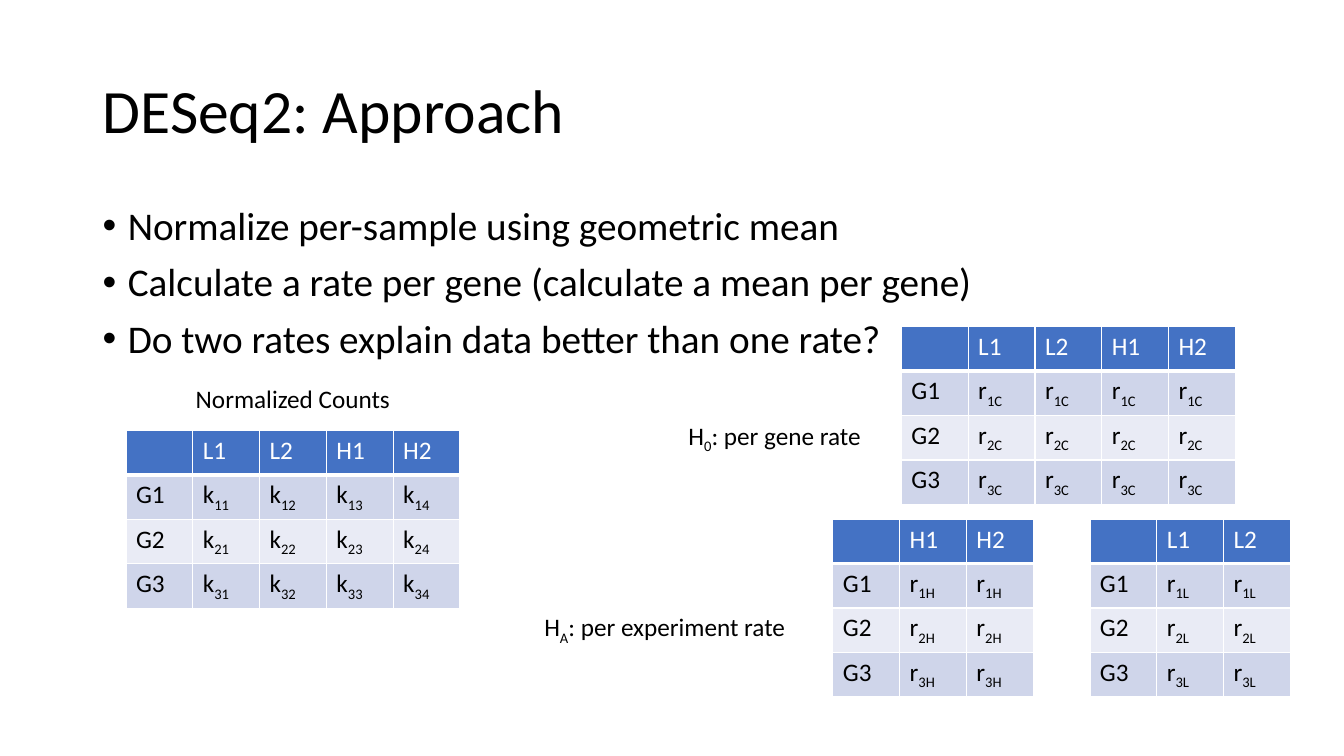
from lxml import etree
from pptx import Presentation
from pptx.dml.color import RGBColor
from pptx.enum.text import MSO_ANCHOR, PP_ALIGN
from pptx.oxml.ns import qn
from pptx.util import Inches, Pt

LEFT, CENTER = PP_ALIGN.LEFT, PP_ALIGN.CENTER
TOP, MIDDLE = MSO_ANCHOR.TOP, MSO_ANCHOR.MIDDLE

BLACK = RGBColor(0x00, 0x00, 0x00)
WHITE = RGBColor(0xFF, 0xFF, 0xFF)
HEADER_BLUE = RGBColor(0x44, 0x72, 0xC4)
DARK_BAND = RGBColor(0xCF, 0xD5, 0xEA)
LIGHT_BAND = RGBColor(0xE9, 0xEB, 0xF5)

FONT = "Calibri"
GENES = (1, 2, 3)
CELL_WIDTH, CELL_HEIGHT = 0.6625, 0.44


def write_text(paragraph, text, size=18, color=BLACK, align=LEFT):
    """Parts between bars are set as subscripts: "H|0|: rate"."""
    paragraph.alignment = align
    for index, part in enumerate(text.split("|")):
        if not part:
            continue
        run = paragraph.add_run()
        run.text = part
        run.font.name = FONT
        run.font.size = Pt(size)
        run.font.bold = False
        run.font.color.rgb = color
        if index % 2:
            run.font._element.set("baseline", "-25000")


def set_border(cell, side, width):
    properties = cell._tc.get_or_add_tcPr()
    line = etree.SubElement(properties, qn(f"a:ln{side}"), w=str(Pt(width)))
    fill = etree.SubElement(line, qn("a:solidFill"))
    etree.SubElement(fill, qn("a:srgbClr"), val=str(WHITE))


def add_bullet(paragraph):
    properties = paragraph._p.get_or_add_pPr()
    properties.set("marL", str(Inches(0.25)))
    properties.set("indent", str(-Inches(0.25)))
    etree.SubElement(properties, qn("a:buFont"), typeface="Arial")
    etree.SubElement(properties, qn("a:buChar"), char="•")


class SlideBuilder:
    def __init__(self, slide):
        self.slide = slide

    def text_frame(self, left, top, width, height, anchor=TOP):
        box = self.slide.shapes.add_textbox(
            Inches(left), Inches(top), Inches(width), Inches(height))
        frame = box.text_frame
        frame.word_wrap = True
        frame.vertical_anchor = anchor
        return frame

    def title(self, text):
        frame = self.text_frame(0.92, 0.4, 11.5, 1.45, anchor=MIDDLE)
        paragraph = frame.paragraphs[0]
        paragraph.line_spacing = 0.9
        write_text(paragraph, text, size=44)

    def bullets(self, items):
        frame = self.text_frame(0.92, 2, 11.5, 4.76)
        for index, item in enumerate(items):
            paragraph = frame.add_paragraph() if index else frame.paragraphs[0]
            paragraph.line_spacing = 0.9
            paragraph.space_before = Pt(10)
            add_bullet(paragraph)
            write_text(paragraph, item, size=28)

    def label(self, text, left, top, width, align=LEFT):
        frame = self.text_frame(left, top, width, 0.4)
        write_text(frame.paragraphs[0], text, align=align)

    def table(self, left, top, samples, entry):
        rows = [["", *samples]]
        for gene in GENES:
            entries = [entry.format(gene=gene, sample=number)
                       for number in range(1, len(samples) + 1)]
            rows.append([f"G{gene}", *entries])
        table = self.slide.shapes.add_table(
            len(rows), len(rows[0]), Inches(left), Inches(top),
            Inches(CELL_WIDTH * len(rows[0])),
            Inches(CELL_HEIGHT * len(rows))).table
        for row_index, row in enumerate(rows):
            for column_index, text in enumerate(row):
                self.cell(table.cell(row_index, column_index), text, row_index)

    def cell(self, cell, text, row_index):
        for side in "LRTB":
            thick = (row_index, side) in ((0, "B"), (1, "T"))
            set_border(cell, side, 3 if thick else 1)
        cell.fill.solid()
        if row_index == 0:
            cell.fill.fore_color.rgb = HEADER_BLUE
        else:
            cell.fill.fore_color.rgb = DARK_BAND if row_index % 2 else LIGHT_BAND
        write_text(cell.text_frame.paragraphs[0], text,
                   color=BLACK if row_index else WHITE)


def main():
    presentation = Presentation()
    presentation.slide_width = Inches(13.33)
    presentation.slide_height = Inches(7.5)
    builder = SlideBuilder(
        presentation.slides.add_slide(presentation.slide_layouts[6]))

    builder.title("DESeq2: Approach")
    builder.bullets((
        "Normalize per-sample using geometric mean",
        "Calculate a rate per gene (calculate a mean per gene)",
        "Do two rates explain data better than one rate?",
    ))

    low, high = ["L1", "L2"], ["H1", "H2"]
    builder.table(1.25, 4.27, low + high, "k|{gene}{sample}|")
    builder.table(10.81, 5.15, low, "r|{gene}L|")
    builder.table(8.26, 5.15, high, "r|{gene}H|")
    builder.table(8.94, 3.24, low + high, "r|{gene}C|")

    builder.label("H|0|: per gene rate", 6.73, 4.12, 2.04)
    builder.label("H|A|: per experiment rate", 5.3, 6.02, 2.67)
    builder.label("Normalized Counts", 1.25, 3.75, 3.31, align=CENTER)

    presentation.save("out.pptx")


if __name__ == "__main__":
    main()
